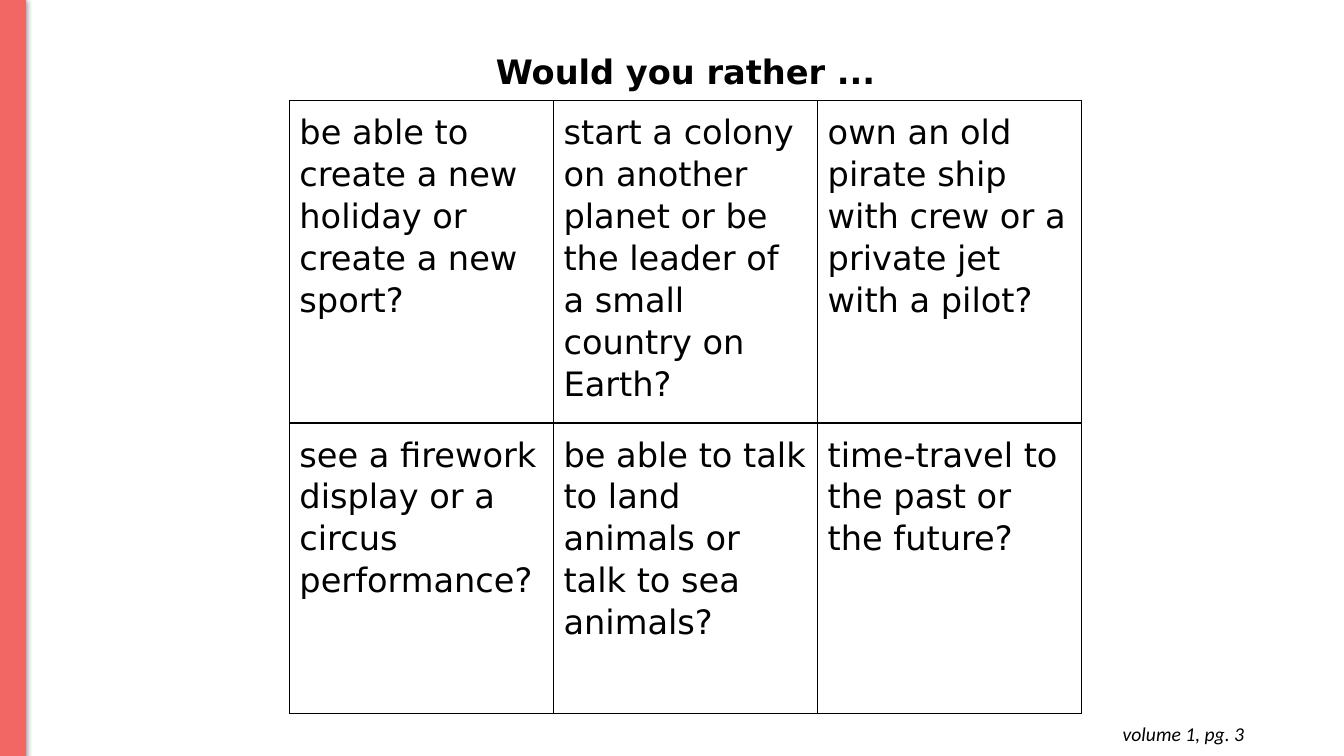
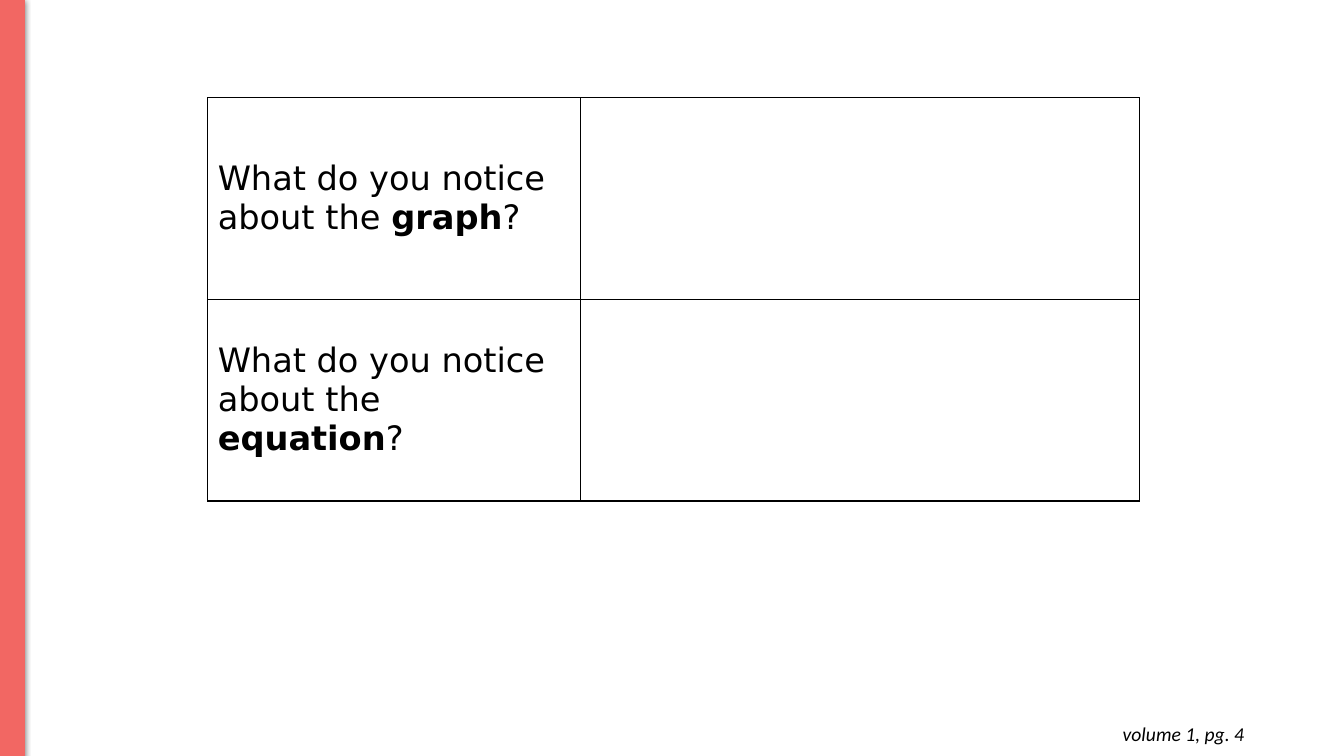
from pptx import Presentation
from pptx.dml.color import RGBColor
from pptx.enum.shapes import MSO_SHAPE
from pptx.enum.text import MSO_ANCHOR, MSO_AUTO_SIZE, PP_ALIGN
from pptx.oxml.ns import qn
from pptx.util import Inches, Pt
from lxml import etree

CORAL = RGBColor(0xF2, 0x67, 0x63)
BLACK = RGBColor(0x00, 0x00, 0x00)
TABLE_FONT = "DejaVu Sans"
FOOTER_FONT = "Calibri"
RECTANGLE = MSO_SHAPE.RECTANGLE
CENTER, RIGHT = PP_ALIGN.CENTER, PP_ALIGN.RIGHT
TOP, MIDDLE = MSO_ANCHOR.TOP, MSO_ANCHOR.MIDDLE
GROW = MSO_AUTO_SIZE.SHAPE_TO_FIT_TEXT
BLANK_LAYOUT = 6
ALL_SIDES = "LRTB"


def write(frame, spans, *, size, font, align=None, italic=False, bold=False,
          spacing=None, after=None):
    """Fill the first paragraph; spans are (text, bold) pairs or one string."""
    para = frame.paragraphs[0]
    para.alignment = align
    para.line_spacing = spacing
    para.space_after = after
    if isinstance(spans, str):
        spans = [(spans, bold)]
    for text, is_bold in spans:
        span = para.add_run()
        span.text = text
        span.font.name = font
        span.font.size = Pt(size)
        span.font.bold = is_bold
        span.font.italic = italic
        span.font.color.rgb = BLACK


def set_margins(target, margin):
    target.margin_left = target.margin_right = Inches(margin)
    target.margin_top = target.margin_bottom = Inches(margin)


class WorkbookDeck:
    """Holds the shared style and the current page."""

    def __init__(self):
        self.deck = Presentation()
        self.deck.slide_width = Inches(13.33)
        self.deck.slide_height = Inches(7.5)
        self.page = None

    def add_page(self, footer, band_width):
        layout = self.deck.slide_layouts[BLANK_LAYOUT]
        self.page = self.deck.slides.add_slide(layout)
        self.band(band_width)
        self.footer(footer)

    def band(self, width):
        band = self.page.shapes.add_shape(
            RECTANGLE, 0, Inches(-0.01), Inches(width), Inches(7.51))
        band.fill.solid()
        band.fill.fore_color.rgb = CORAL
        band.line.color.rgb = CORAL
        band.line.width = Pt(0.75)
        # Soft shadow below the band
        band.shadow.inherit = False
        effects = band.element.spPr.find(qn("a:effectLst"))
        shadow = etree.SubElement(
            effects, qn("a:outerShdw"), blurRad=str(Pt(4.5)),
            dist=str(Pt(1.5)), dir="5400000", algn="ctr", rotWithShape="0")
        color = etree.SubElement(shadow, qn("a:srgbClr"), val=str(BLACK))
        etree.SubElement(color, qn("a:alpha"), val="50000")

    def footer(self, text):
        box = self.page.shapes.add_textbox(
            Inches(9.56), Inches(7.06), Inches(2.88), Inches(0.44))
        frame = box.text_frame
        frame.word_wrap = True
        frame.auto_size = GROW
        set_margins(frame, 0.1)
        write(frame, text, size=14, font=FOOTER_FONT, align=RIGHT, italic=True)

    def table(self, left, top, widths, heights):
        table = self.page.shapes.add_table(
            len(heights), len(widths), Inches(left), Inches(top),
            Inches(sum(widths)), Inches(sum(heights))).table
        table.first_row = False
        table.horz_banding = False
        for column, width in zip(table.columns, widths):
            column.width = Inches(width)
        for row, height in zip(table.rows, heights):
            row.height = Inches(height)
        return table

    def cell(self, cell, spans=None, *, sides=ALL_SIDES, margin=None,
             anchor=TOP, **text_format):
        properties = cell._tc.get_or_add_tcPr()
        for side in ALL_SIDES:
            line = etree.SubElement(
                properties, qn(f"a:ln{side}"), w=str(Pt(1)))
            if side in sides:
                fill = etree.SubElement(line, qn("a:solidFill"))
                etree.SubElement(fill, qn("a:srgbClr"), val=str(BLACK))
            else:
                etree.SubElement(line, qn("a:noFill"))
        cell.fill.background()
        cell.vertical_anchor = anchor
        if margin is not None:
            set_margins(cell, margin)
        if spans:
            write(cell.text_frame, spans, size=24, font=TABLE_FONT,
                  **text_format)

    def save(self):
        self.deck.save("out.pptx")


def choices_page(book):
    book.add_page("volume 1, pg. 3", band_width=0.25)
    questions = [
        ["be able to create a new holiday or create a new sport?",
         "start a colony on another planet or be the leader of a small "
         "country on Earth?",
         "own an old pirate ship with crew or a private jet with a pilot?"],
        ["see a firework display or a circus performance?",
         "be able to talk to land animals or talk to sea animals?",
         "time-travel to the past or the future?"],
    ]
    spaced = {"spacing": 1.07, "after": Pt(8)}
    table = book.table(2.87, 0.5, [2.62] * 3, [0.5, 2.88, 2.88])
    # Heading row across all columns
    table.cell(0, 0).merge(table.cell(0, 2))
    for column in range(3):
        heading = "Would you rather ..." if column == 0 else None
        book.cell(table.cell(0, column), heading, sides="B", margin=0,
                  align=CENTER, bold=True, **spaced)
    # Question grid
    for row, texts in enumerate(questions, start=1):
        for column, text in enumerate(texts):
            book.cell(table.cell(row, column), text, margin=0.1, **spaced)


def notice_page(book):
    book.add_page("volume 1, pg. 4", band_width=0.24)
    table = book.table(2.06, 0.97, [3.7, 5.54], [2, 2])
    for row, topic in enumerate(["graph", "equation"]):
        question = [("What do you notice about the ", False),
                    (topic, True), ("?", False)]
        book.cell(table.cell(row, 0), question, anchor=MIDDLE)
        book.cell(table.cell(row, 1))


def main():
    book = WorkbookDeck()
    choices_page(book)
    notice_page(book)
    book.save()


if __name__ == "__main__":
    main()
